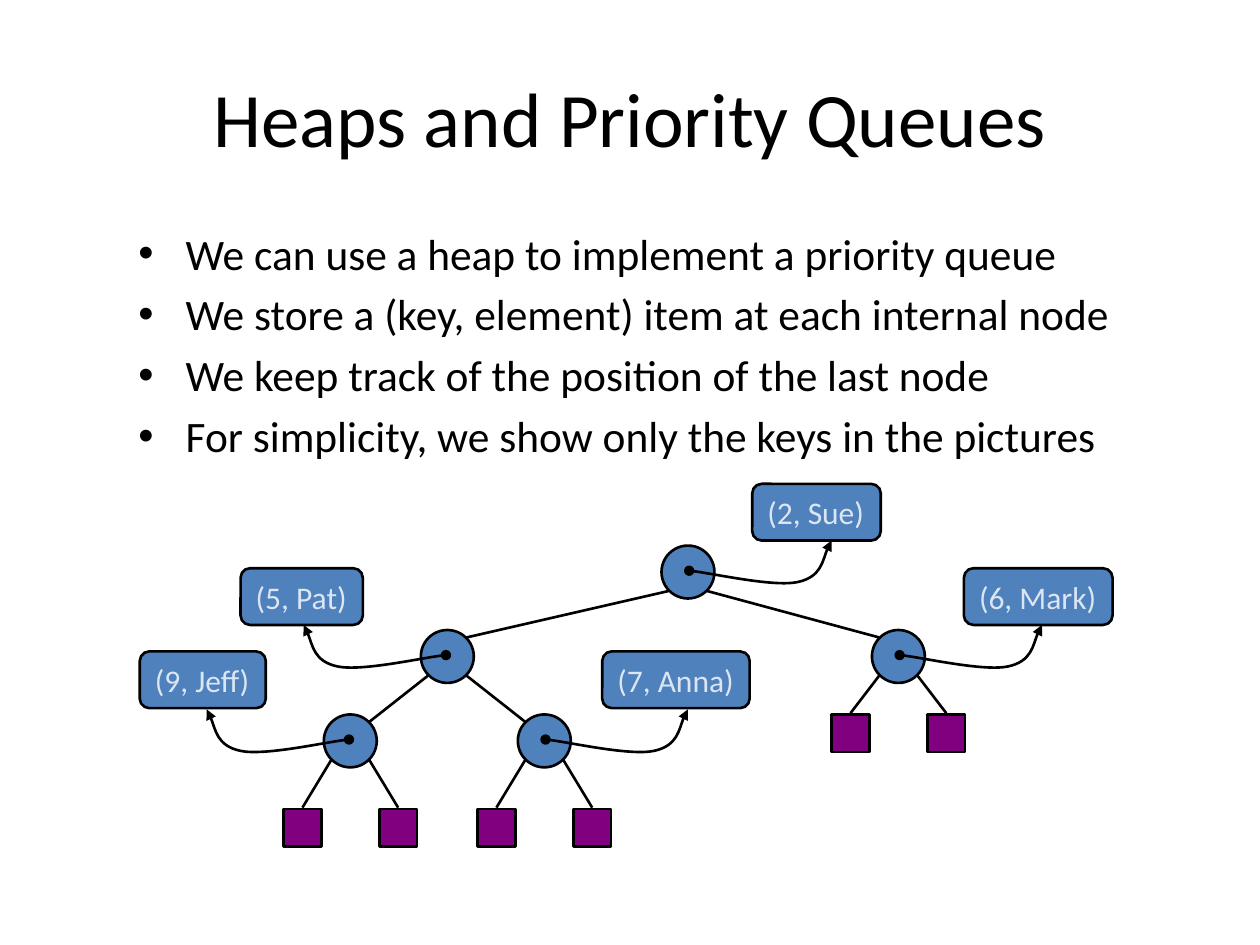
from lxml import etree
from pptx import Presentation
from pptx.dml.color import RGBColor
from pptx.enum import shapes, text
from pptx.oxml.ns import qn
from pptx.util import Inches, Pt

BLACK = RGBColor(0x00, 0x00, 0x00)
BLUE = RGBColor(0x4F, 0x81, 0xBD)
PALE_BLUE = RGBColor(0xDC, 0xE6, 0xF2)
PURPLE = RGBColor(0x80, 0x00, 0x80)
FONT = "Calibri"

NODE, LEAF = 0.42, 0.3
RIM = 0.15          # offset from a node's centre to where its edges meet it
LEAF_OFFSET = 0.38
# name: centre x, centre y, child nodes, top of the leaves
TREE = {
    "Sue": (5.46, 4.54, ["Pat", "Mark"], None),
    "Pat": (3.55, 5.21, ["Jeff", "Anna"], None),
    "Mark": (7.13, 5.21, [], 5.67),
    "Jeff": (2.78, 5.88, [], 6.42),
    "Anna": (4.32, 5.88, [], 6.42),
}
# name: key, left, top, width, side of the node on which the item stands
ITEMS = {
    "Sue": (2, 5.97, 3.84, 1.02, 1),
    "Mark": (6, 7.65, 4.51, 1.18, 1),
    "Pat": (5, 1.91, 4.51, 0.97, -1),
    "Jeff": (9, 1.11, 5.17, 1.0, -1),
    "Anna": (7, 4.78, 5.17, 1.17, 1),
}
# Start, then two Bezier curves of three points each, relative to the node
POINTER = [
    (0, 0),
    (0.14, 0.01), (0.67, 0.13), (0.86, 0.09),
    (1.05, 0.05), (1.08, -0.17), (1.13, -0.24),
]


def add_outlined(kind, left, top, width, height, color):
    shape = slide.shapes.add_shape(
        kind, Inches(left), Inches(top), Inches(width), Inches(height))
    shape.shadow.inherit = False
    shape.fill.solid()
    shape.fill.fore_color.rgb = color
    shape.line.color.rgb = BLACK
    shape.line.width = Pt(1.5)
    return shape


def write(paragraph, words, size, color):
    run = paragraph.add_run()
    run.text = words
    run.font.name = FONT
    run.font.size = Pt(size)
    run.font.color.rgb = color


prs = Presentation()
prs.slide_width, prs.slide_height = Inches(10), Inches(7.5)
slide = prs.slides.add_slide(prs.slide_layouts[5])

title = slide.shapes.title
title.left, title.top = Inches(0.5), Inches(0.3)
title.width, title.height = Inches(9), Inches(1.25)
title.text_frame.vertical_anchor = text.MSO_ANCHOR.MIDDLE
title.text_frame.paragraphs[0].alignment = text.PP_ALIGN.CENTER
write(title.text_frame.paragraphs[0], "Heaps and Priority Queues", 44, BLACK)

points = slide.shapes.add_textbox(
    Inches(1), Inches(1.75), Inches(8.42), Inches(2.08)).text_frame
points.word_wrap = True
for i, sentence in enumerate([
    "We can use a heap to implement a priority queue",
    "We store a (key, element) item at each internal node",
    "We keep track of the position of the last node",
    "For simplicity, we show only the keys in the pictures",
]):
    point = points.add_paragraph() if i else points.paragraphs[0]
    point.space_before = Pt(5)
    write(point, sentence, 24.8, BLACK)
    props = point._p.get_or_add_pPr()
    props.set("marL", str(Inches(3 / 8)))
    props.set("indent", str(Inches(-3 / 8)))
    etree.SubElement(props, qn("a:buFont"), typeface="Arial")
    etree.SubElement(props, qn("a:buChar"), char="•")

# Nodes and leaves, collecting the edges between them
edges = []
for x, y, children, leaf_top in TREE.values():
    add_outlined(shapes.MSO_SHAPE.OVAL, x - NODE / 2, y - NODE / 2, NODE, NODE, BLUE)
    for i, side in enumerate((-1, 1)):
        if children:
            child_x, child_y = TREE[children[i]][:2]
            end = child_x - side * RIM, child_y - RIM
        else:
            leaf_x = x + side * LEAF_OFFSET
            add_outlined(shapes.MSO_SHAPE.RECTANGLE,
                         leaf_x - LEAF / 2, leaf_top, LEAF, LEAF, PURPLE)
            end = leaf_x, leaf_top - 0.01
        edges.append((x + side * RIM, y + RIM, *end))

for edge in edges:
    line = slide.shapes.add_connector(
        shapes.MSO_CONNECTOR.STRAIGHT, *[Inches(v) for v in edge])
    line.line.color.rgb = BLACK
    line.line.width = Pt(1.5)
    etree.SubElement(line._element.spPr, qn("a:effectLst"))

for name, (key, left, top, width, side) in ITEMS.items():
    item = add_outlined(shapes.MSO_SHAPE.ROUNDED_RECTANGLE, left, top, width, 0.45, BLUE)
    frame = item.text_frame
    frame.word_wrap = False
    frame.vertical_anchor = text.MSO_ANCHOR.MIDDLE
    frame.paragraphs[0].alignment = text.PP_ALIGN.LEFT
    write(frame.paragraphs[0], f"({key}, {name})", 18, PALE_BLUE)

for name, (*_, side) in ITEMS.items():
    x, y = TREE[name][:2]
    x += side * 0.01
    y -= 0.01
    start, *rest = [(Inches(x + side * dx), Inches(y + dy)) for dx, dy in POINTER]
    builder = slide.shapes.build_freeform(*start)
    builder.add_line_segments(rest, close=False)
    pointer = builder.convert_to_shape()

    # Turn each three straight segments into one Bezier curve
    outline = pointer._element.find(".//" + qn("a:path"))
    segments = outline.findall(qn("a:lnTo"))
    for first in range(0, len(segments), 3):
        curve = etree.SubElement(outline, qn("a:cubicBezTo"))
        for segment in segments[first:first + 3]:
            curve.append(segment[0])
            outline.remove(segment)

    pointer.shadow.inherit = False
    pointer.fill.background()
    pointer.line.color.rgb = BLACK
    pointer.line.width = Pt(1.5)
    stroke = pointer.line._get_or_add_ln()
    etree.SubElement(stroke, qn("a:round"))
    etree.SubElement(stroke, qn("a:headEnd"), type="oval")
    etree.SubElement(stroke, qn("a:tailEnd"), type="triangle")

prs.save("out.pptx")
